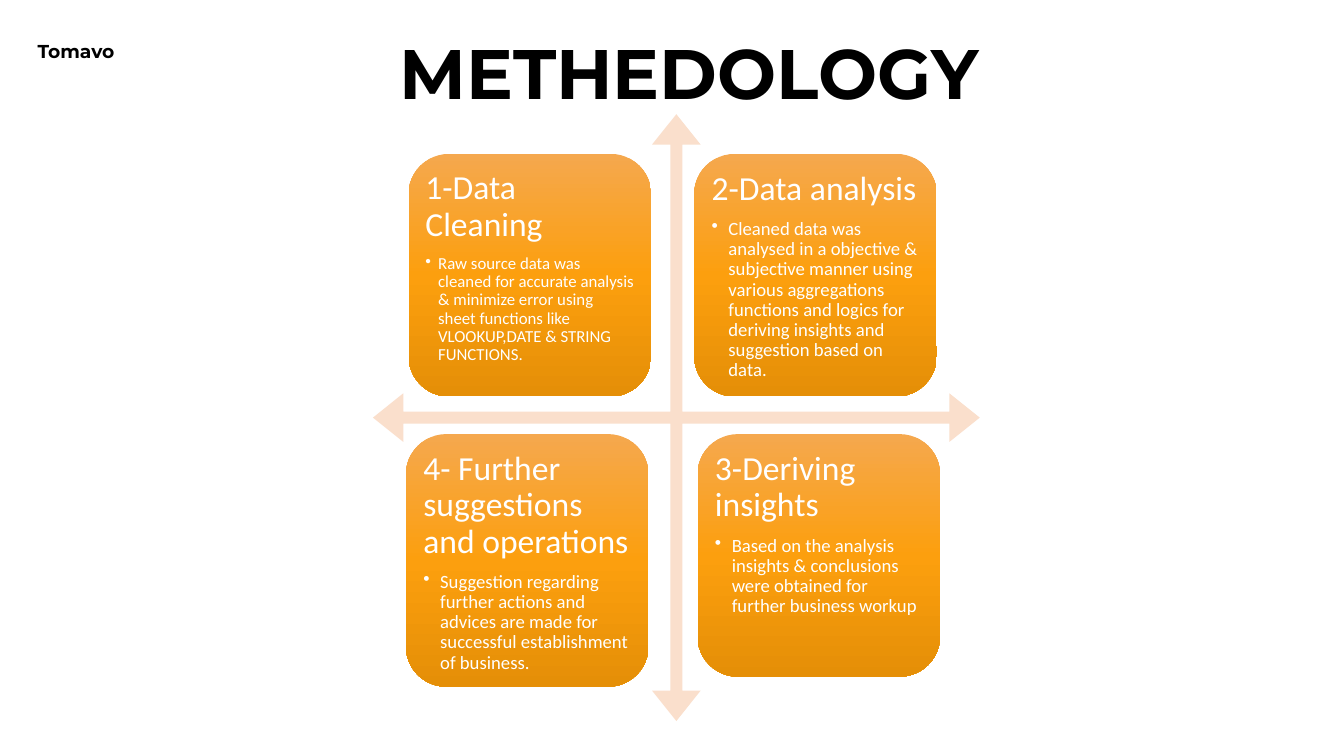
import copy

import pptx
import pptx.dml.color
import pptx.enum.dml
import pptx.enum.shapes
import pptx.enum.text
import pptx.oxml
import pptx.oxml.ns
import pptx.util

RGB = pptx.dml.color.RGBColor
BLACK = RGB(0x00, 0x00, 0x00)
WHITE = RGB(0xFF, 0xFF, 0xFF)
PEACH = RGB(0xFA, 0xDF, 0xCC)
ORANGES = [RGB(0xF5, 0xA8, 0x4E), RGB(0xFC, 0x9F, 0x0E), RGB(0xE5, 0x8F, 0x07)]

HEAD_FONT = "Montserrat"
BODY_FONT = "Calibri"
EMU_PER_PX = 9144  # 100 px to the inch
CARD_W = 361
TEXT_INSET = 18  # keeps the text clear of the rounded corners


def px(*lengths):
    return [pptx.util.Emu(n * EMU_PER_PX) for n in lengths]


def write(p, text, *, size, font=BODY_FONT, color=WHITE, bold=False,
          spacing=0.9, after=0):
    """Add one formatted run to a paragraph."""
    p.line_spacing = spacing
    p.space_after = pptx.util.Pt(after)
    r = p.add_run()
    r.text = text
    r.font.size = pptx.util.Pt(size)
    r.font.name = font
    r.font.bold = bold
    r.font.color.rgb = color


class Deck:
    def __init__(self, width, height):
        self.prs = pptx.Presentation()
        self.prs.slide_width, self.prs.slide_height = px(width, height)
        self.s = self.prs.slides.add_slide(self.prs.slide_layouts[6])

    def shape(self, kind, x, y, w, h):
        sp = self.s.shapes.add_shape(kind, *px(x, y, w, h))
        sp.shadow.inherit = False
        sp.line.fill.background()
        return sp

    def text_box(self, x, y, w, h, margin=0):
        tf = self.s.shapes.add_textbox(*px(x, y, w, h)).text_frame
        tf.word_wrap = True
        tf.vertical_anchor = pptx.enum.text.MSO_ANCHOR.TOP
        (m,) = px(margin)
        tf.margin_left = tf.margin_top = tf.margin_right = tf.margin_bottom = m
        return tf

    def heading(self, text, x, y, w, h, size, spacing):
        tf = self.text_box(x, y, w, h)
        write(tf.paragraphs[0], text, size=size, font=HEAD_FONT, color=BLACK,
              bold=True, spacing=pptx.util.Pt(spacing))

    def cross_arrow(self, x, y, size):
        sp = self.shape(pptx.enum.shapes.MSO_SHAPE.QUAD_ARROW, x, y, size, size)
        for i, value in enumerate((0.02, 0.04, 0.05)):
            sp.adjustments[i] = value
        sp.fill.solid()
        sp.fill.fore_color.rgb = PEACH

    def gradient(self, sp):
        """Fill a shape with the three oranges, from top to bottom."""
        sp.fill.gradient()
        sp.fill.gradient_angle = 270
        stops = sp._element.spPr.find(".//" + pptx.oxml.ns.qn("a:gsLst"))
        stops.append(copy.deepcopy(stops[0]))
        for stop, color, pos in zip(sp.fill.gradient_stops, ORANGES, (0, 0.5, 1)):
            stop.color.rgb = color
            stop.position = pos

    def bullet(self, p, indent):
        (emu,) = px(indent)
        pPr = p._p.get_or_add_pPr()
        pPr.set("marL", str(emu))
        pPr.set("indent", str(-emu))
        pPr.append(pptx.oxml.parse_xml(
            f'<a:buChar {pptx.oxml.ns.nsdecls("a")} char="•"/>'))

    def card(self, x, y, h, title, body, size=20, indent=25, margin=8):
        sp = self.shape(pptx.enum.shapes.MSO_SHAPE.ROUNDED_RECTANGLE,
                        x, y, CARD_W, h)
        self.gradient(sp)
        tf = self.text_box(x + TEXT_INSET, y + TEXT_INSET,
                           CARD_W - 2 * TEXT_INSET, h - 2 * TEXT_INSET, margin)
        write(tf.paragraphs[0], title, size=36, after=12.6)
        p = tf.add_paragraph()
        p.level = 1
        write(p, body, size=size, after=3)
        self.bullet(p, indent)


def main():
    deck = Deck(2000, 1125)

    # Title and company name
    deck.heading("METHEDOLOGY", 594, 54, 1075, 116, size=75, spacing=82.5)
    deck.heading("Tomavo", 56, 54, 213, 37, size=20, spacing=28)

    # Four-way arrow behind the cards
    deck.cross_arrow(555, 170, 903)

    # The four steps, clockwise from top left
    deck.card(608, 229, CARD_W, "1-Data Cleaning",
              "Raw source data was cleaned for accurate analysis & minimize "
              "error using sheet functions like VLOOKUP,DATE & STRING FUNCTIONS.",
              size=18, indent=19, margin=7)
    deck.card(1033, 229, CARD_W, "2-Data analysis",
              "Cleaned data was analysed in a objective & subjective manner "
              "using various aggregations functions and logics for deriving "
              "insights and suggestion based on data.")
    deck.card(1038, 646, CARD_W, "3-Deriving insights",
              "Based on the analysis insights & conclusions were obtained for "
              "further business workup")
    deck.card(604, 646, 376, "4- Further suggestions and operations",
              "Suggestion regarding further actions and advices are made for "
              "successful establishment of business.")

    deck.prs.save("out.pptx")


if __name__ == "__main__":
    main()
